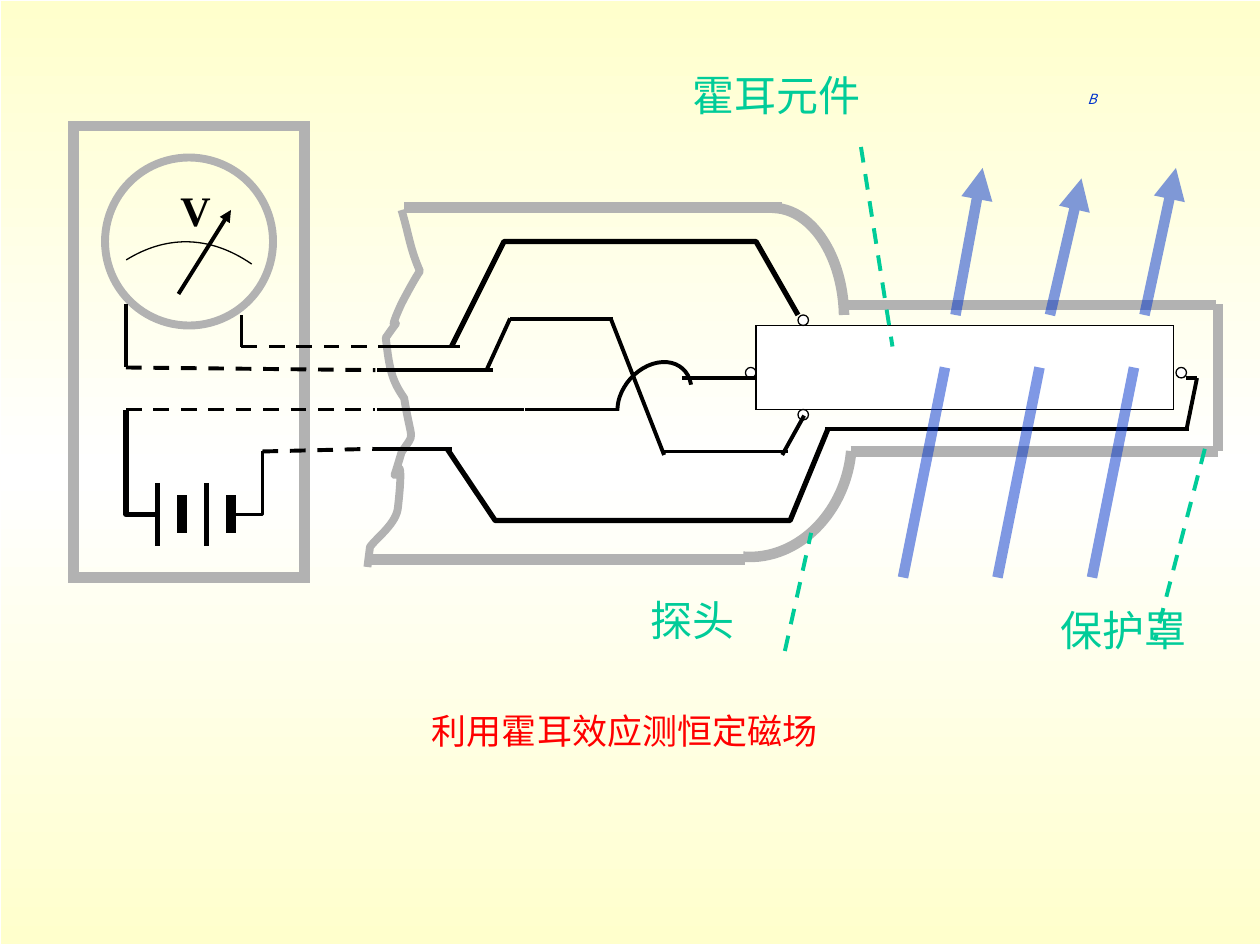
from lxml.etree import SubElement
from pptx import Presentation
from pptx.dml.color import RGBColor
from pptx.enum.dml import MSO_LINE
from pptx.enum.shapes import MSO_CONNECTOR, MSO_SHAPE
from pptx.enum.text import PP_ALIGN
from pptx.oxml.ns import qn
from pptx.util import Pt

BLACK = RGBColor(0x00, 0x00, 0x00)
WHITE = RGBColor(0xFF, 0xFF, 0xFF)
CREAM = RGBColor(0xFF, 0xFF, 0xCC)
CASING = RGBColor(0xB2, 0xB2, 0xB2)
FIELD = RGBColor(0x00, 0x33, 0xCC)
LABEL = RGBColor(0x00, 0xCC, 0x99)
RED = RGBColor(0xFF, 0x00, 0x00)

presentation = Presentation()
presentation.slide_width, presentation.slide_height = Pt(720), Pt(540)
slide = presentation.slides.add_slide(presentation.slide_layouts[6])
shapes = slide.shapes


def add_line(x1, y1, x2, y2, color=BLACK, width=2.25, dashed=False, arrow=False, alpha=None):
    line = shapes.add_connector(MSO_CONNECTOR.STRAIGHT, Pt(x1), Pt(y1), Pt(x2), Pt(y2))
    line.line.color.rgb = color
    line.line.width = Pt(width)
    if dashed:
        line.line.dash_style = MSO_LINE.DASH
    properties = line._element.spPr
    outline = properties.find(qn("a:ln"))
    if alpha:
        SubElement(outline.find(".//" + qn("a:srgbClr")), qn("a:alpha"), val=str(alpha * 1000))
    if arrow:
        SubElement(outline, qn("a:tailEnd"), type="triangle")
    SubElement(properties, qn("a:effectLst"))


def add_path(points, color=BLACK, width=2.25, curved=False):
    """Draw an open outline; when curved, the points chain cubic Bezier segments."""
    start, *rest = [(Pt(x), Pt(y)) for x, y in points]
    builder = shapes.build_freeform(*start, scale=1.0)
    builder.add_line_segments(rest, close=False)
    outline = builder.convert_to_shape()
    outline.shadow.inherit = False
    outline.fill.background()
    outline.line.color.rgb = color
    outline.line.width = Pt(width)
    if curved:
        route = outline._element.spPr.find(".//" + qn("a:path"))
        segments = route.findall(qn("a:lnTo"))
        for first in range(0, len(segments), 3):
            curve = SubElement(route, qn("a:cubicBezTo"))
            for segment in segments[first:first + 3]:
                curve.append(segment[0])
                route.remove(segment)


# Backdrop
backdrop = shapes.add_shape(MSO_SHAPE.RECTANGLE, 0, 0, Pt(726), Pt(540))
backdrop.shadow.inherit = False
backdrop.line.color.rgb = WHITE
backdrop.line.width = Pt(0.75)
backdrop.fill.gradient()
backdrop.fill.gradient_angle = 90
stops = backdrop.fill.gradient_stops
for stop in stops:
    stop.color.rgb = CREAM
stops[0].position, stops[1].position = 0, 1
stop_list = backdrop._element.spPr.find(".//" + qn("a:gsLst"))
middle = SubElement(stop_list, qn("a:gs"), pos="50000")
SubElement(middle, qn("a:srgbClr"), val=str(WHITE))
stop_list.insert(1, middle)

# Hall element, instrument case, voltmeter dial and the four contacts
outlines = [
    (MSO_SHAPE.RECTANGLE, 432, 186, 238.5, 48, WHITE, BLACK, 0.75),
    (MSO_SHAPE.RECTANGLE, 42, 72, 132, 258, None, CASING, 6),
    (MSO_SHAPE.OVAL, 60, 90, 96, 96, None, CASING, 4.5),
]
contacts = [(456, 180), (426, 210), (456, 234), (672, 210)]
outlines += [(MSO_SHAPE.OVAL, x, y, 6, 6, WHITE, BLACK, 0.75) for x, y in contacts]
for kind, left, top, width, height, fill, color, weight in outlines:
    part = shapes.add_shape(kind, Pt(left), Pt(top), Pt(width), Pt(height))
    part.shadow.inherit = False
    if fill is None:
        part.fill.background()
    else:
        part.fill.solid()
        part.fill.fore_color.rgb = fill
    part.line.color.rgb = color
    part.line.width = Pt(weight)
    SubElement(part._element.spPr.find(qn("a:ln")), qn("a:miter"), lim="800000")

# Dial scale, probe shoulders and the loop of the crossing wire
for left, top, width, height, turn, begin, end, color, weight in [
    (-29.5, 138.2, 271.4, 648, 0, 263.8, 276.9, BLACK, 0.75),
    (400.3, 118.8, 82.1, 126.7, 0, 270, 357, CASING, 6),
    (367.9, 200.2, 127.4, 109.4, 101, 262, 355.3, CASING, 6),
    (349.9, 210.2, 48.2, 36.7, 312.1, 212, 25.2, BLACK, 2.25),
]:
    arc = shapes.add_shape(MSO_SHAPE.ARC, Pt(left), Pt(top), Pt(width), Pt(height))
    arc.shadow.inherit = False
    arc.rotation = turn
    # Angle adjustments count 60000ths of a degree in units of 100000
    arc.adjustments[0], arc.adjustments[1] = begin * 0.6, end * 0.6
    arc.fill.background()
    arc.line.color.rgb = color
    arc.line.width = Pt(weight)

# Probe casing and protective cover
for ends in [(480, 174.2, 695, 174.2), (486, 258, 696, 258), (696, 174, 696, 258),
             (231, 118.6, 447, 118.6), (210, 319.8, 425.5, 319.8)]:
    add_line(*ends, color=CASING, width=6)
torn_edge = [(229.5, 120), (234, 135), (234, 141), (240, 155), (238, 157.5), (231, 170.5),
             (229.5, 173.5), (217.5, 199.5), (234.5, 173), (220.5, 193), (222.5, 211),
             (224, 217.5), (231, 227.5), (235.5, 255), (237.5, 246), (229.5, 258.5),
             (219, 294), (233, 240), (227.5, 289.5), (227, 299), (215, 307.5),
             (211.5, 312.5), (211, 316), (210, 324), (210, 324)]
add_path(torn_edge, CASING, 4.5, curved=True)

# Wires inside the probe
for ends in [(471.5, 245.4, 679.5, 245.4), (459.5, 237.5, 447, 260), (378, 258, 450.5, 258),
             (291.5, 182.2, 350.5, 182.2), (349, 182, 379.5, 260), (390, 216, 432, 216),
             (300, 234, 354, 234), (678, 245.5, 684, 216), (678, 216, 684, 216),
             (216, 198, 263, 198), (215.5, 211.7, 281.5, 211.7), (278, 211.5, 291.5, 182),
             (215.5, 234, 299.5, 234), (213, 256.4, 258.5, 256.4)]:
    add_line(*ends)
add_path([(255.5, 256.5), (283, 297.5), (451.5, 297.5), (473, 245.5)], width=3)
add_path([(258, 198), (288, 138), (432, 138), (456, 180)], width=3)

# Cable from the instrument to the probe
for ends in [(150, 258, 213, 256.5), (72, 234, 214.5, 234),
             (72, 210, 214.5, 211.5), (138, 198, 219.5, 198)]:
    add_line(*ends, dashed=True)

# Voltmeter and battery
add_line(102, 168, 132, 120, arrow=True)
add_line(72, 174, 72, 210)
add_line(138, 180, 138, 198)
add_line(72, 234, 72, 294)
for x in (90, 118):
    add_line(x, 276, x, 312, width=3)
    add_line(x + 14, 283, x + 14, 304.5, width=6)
add_path([(72, 234), (72, 294), (90, 294)], width=3)
add_path([(132, 294), (150, 294), (150, 258)])

# Magnetic field
for x in (516, 570, 624):
    add_line(x, 330, x + 24, 210, FIELD, 6, alpha=50)
for ends in [(546, 180, 561.5, 96), (600, 180, 618, 102), (654, 180, 672, 96)]:
    add_line(*ends, color=FIELD, width=6, arrow=True, alpha=50)

# Leaders and captions
for ends in [(688.5, 256.5, 660, 366), (448.5, 372, 463.5, 304.5), (492, 84, 510, 198)]:
    add_line(*ends, color=LABEL, dashed=True)
SANS_JP, SANS_SC = "Noto Sans CJK JP", "Noto Sans CJK SC"
for wording, left, top, width, height, size, typeface, color, bold, italic in [
    ("利用霍耳效应测恒定磁场", 96, 402, 522, 102, 20, SANS_SC, RED, False, False),
    ("B", 594, 48, 60, 34.5, 8, SANS_SC, FIELD, False, True),
    ("V", 96, 102, 24, 29.5, 24, "Times New Roman", BLACK, True, False),
    ("霍耳元件", 372, 36, 144, 36, 24, SANS_JP, LABEL, False, False),
    ("探头", 360, 336, 72, 36, 24, SANS_JP, LABEL, False, False),
    ("保护罩", 588, 342, 108, 36, 24, SANS_JP, LABEL, False, False),
]:
    frame = shapes.add_textbox(Pt(left), Pt(top), Pt(width), Pt(height)).text_frame
    frame.word_wrap = False
    paragraph = frame.paragraphs[0]
    paragraph.text = wording
    paragraph.alignment = PP_ALIGN.CENTER
    font = paragraph.font
    font.size, font.name, font.bold, font.italic = Pt(size), typeface, bold, italic
    font.color.rgb = color
    SubElement(font._element, qn("a:ea"), typeface=typeface)

presentation.save("out.pptx")
